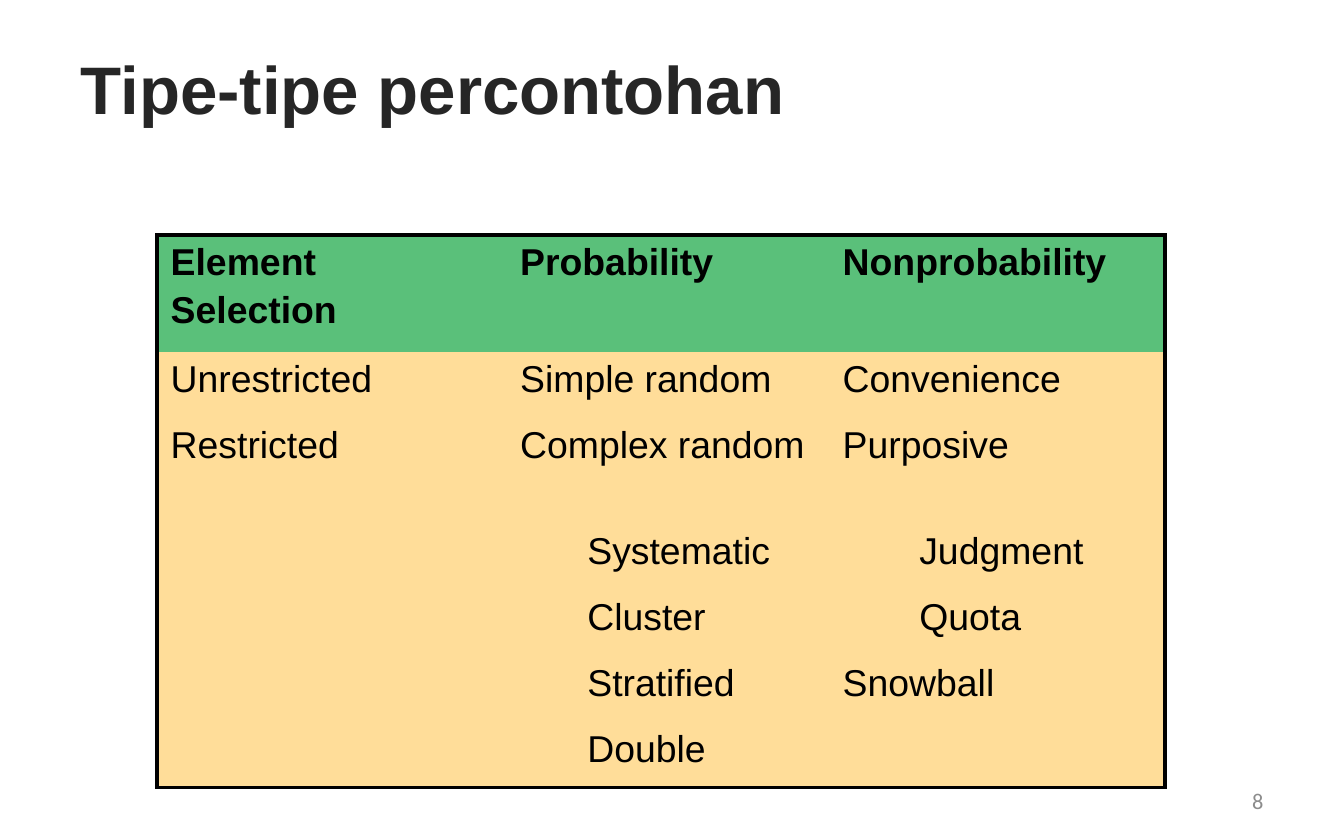
"""Build the slide on sampling types: a title, a table and a page number."""
from dataclasses import dataclass

from lxml import etree
from pptx import Presentation
from pptx import util as u
from pptx.dml.color import RGBColor
from pptx.enum import text
from pptx.oxml.ns import qn


@dataclass(frozen=True)
class Theme:
    """Colours, fonts and type sizes of the slide."""
    title: str = "262626"
    ink: str = "000000"
    muted: str = "8C8C8C"
    header: str = "5AC07A"
    body: str = "FFDD99"
    font: str = "Arial"
    number_font: str = "Calibri"
    title_size: float = 36
    table_size: float = 20
    number_size: float = 12
    border: float = 2.25


THEME = Theme()
COLUMNS = [2.6, 2.4, 2.5]
ROWS = [0.87, 0.49, 0.79, 0.49, 0.49, 0.49, 0.49]
CELLS = [
    ["Element\nSelection", "Probability", "Nonprobability"],
    ["Unrestricted", "Simple random", "Convenience"],
    ["Restricted", "Complex random", "Purposive"],
    ["", "Systematic", "Judgment"],
    ["", "Cluster", "Quota"],
    ["", "Stratified", "Snowball"],
    ["", "Double", ""],
]
INDENTS = {
    **dict.fromkeys(["Systematic", "Cluster", "Stratified", "Double"], 0.5),
    **dict.fromkeys(["Judgment", "Quota"], 0.57),
}


def apply(target, values):
    """Set each named attribute on the target."""
    for name, value in values.items():
        setattr(target, name, value)


def format_font(paragraph, size, color, name=THEME.font, bold=False):
    """Give a paragraph its typeface, size, weight and colour."""
    apply(paragraph.font, {"name": name, "size": u.Pt(size), "bold": bold})
    paragraph.font.color.rgb = RGBColor.from_string(color)


def place(shape, left, top, width, height):
    """Move and size a shape in inches."""
    values = {"left": left, "top": top, "width": width, "height": height}
    apply(shape, {name: u.Inches(value) for name, value in values.items()})


def add_title(slide, wording):
    """Fill and format the title placeholder."""
    shape = slide.shapes.title
    place(shape, 0.5, 0.13, 9, 1.04)
    shape.text_frame.text = wording
    apply(shape.text_frame, {"vertical_anchor": text.MSO_ANCHOR.MIDDLE, "word_wrap": True})
    paragraph = shape.text_frame.paragraphs[0]
    paragraph.alignment = text.PP_ALIGN.LEFT
    format_font(paragraph, THEME.title_size, THEME.title, bold=True)


def set_borders(cell, outer):
    """Draw the cell's outer sides and hide the inner ones."""
    properties = cell._tc.get_or_add_tcPr()
    for side, visible in outer.items():
        line = etree.SubElement(properties, qn(f"a:ln{side}"), w=str(u.Pt(THEME.border)))
        if visible:
            fill = etree.SubElement(line, qn("a:solidFill"))
            etree.SubElement(fill, qn("a:srgbClr"), val=THEME.ink)
        else:
            etree.SubElement(line, qn("a:noFill"))


def fill_cell(cell, wording, header):
    """Write a cell's paragraphs and colour its background."""
    cell.fill.solid()
    cell.fill.fore_color.rgb = RGBColor.from_string(THEME.header if header else THEME.body)
    cell.text = wording
    for index, paragraph in enumerate(cell.text_frame.paragraphs):
        if index:
            paragraph.space_before = u.Pt(3.3)
        if wording in INDENTS:
            paragraph._p.get_or_add_pPr().set("marL", str(u.Inches(INDENTS[wording])))
        format_font(paragraph, THEME.table_size, THEME.ink, bold=header)


def add_sampling_table(slide):
    """Add the table of sampling types with a frame around it."""
    frame = slide.shapes.add_table(
        len(ROWS), len(COLUMNS), u.Inches(1.17), u.Inches(1.75),
        u.Inches(sum(COLUMNS)), u.Inches(sum(ROWS)))
    table = frame.table
    apply(table, {"first_row": False, "horz_banding": False})
    for column, width in zip(table.columns, COLUMNS):
        column.width = u.Inches(width)
    for row, height in zip(table.rows, ROWS):
        row.height = u.Inches(height)
    for row, wordings in enumerate(CELLS):
        for column, wording in enumerate(wordings):
            cell = table.cell(row, column)
            set_borders(cell, {
                "L": column == 0, "R": column == len(COLUMNS) - 1,
                "T": row == 0, "B": row == len(ROWS) - 1})
            fill_cell(cell, wording, header=row == 0)


def add_page_number(slide, number):
    """Add the page number at the lower right."""
    shape = slide.shapes.add_textbox(
        u.Inches(7.17), u.Inches(5.79), u.Inches(2.33), u.Inches(0.33))
    apply(shape.text_frame, {"word_wrap": True, "vertical_anchor": text.MSO_ANCHOR.MIDDLE})
    paragraph = shape.text_frame.paragraphs[0]
    apply(paragraph, {"text": number, "alignment": text.PP_ALIGN.RIGHT})
    format_font(paragraph, THEME.number_size, THEME.muted, THEME.number_font)


def main():
    """Build and save the presentation."""
    presentation = Presentation()
    apply(presentation, {"slide_width": u.Inches(10), "slide_height": u.Inches(6.25)})
    slide = presentation.slides.add_slide(presentation.slide_layouts[5])
    add_title(slide, "Tipe-tipe percontohan")
    add_sampling_table(slide)
    add_page_number(slide, "8")
    presentation.save("out.pptx")


if __name__ == "__main__":
    main()
